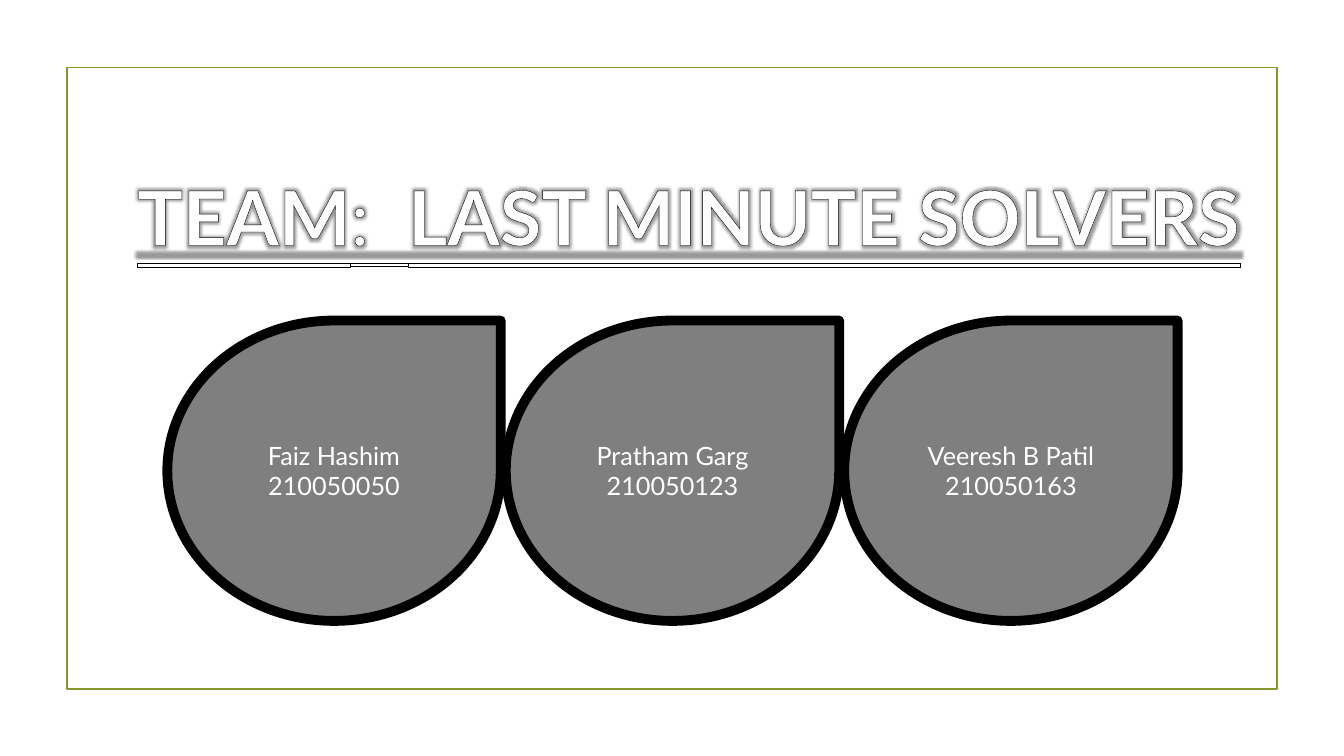
import pptx
import pptx.dml.color
import pptx.enum.shapes
import pptx.enum.text
import pptx.oxml
import pptx.util

WIDE, HIGH = pptx.util.Inches(13.33), pptx.util.Inches(7.5)
HUES = {"green": "83992A", "black": "000000", "white": "FFFFFF"}
NS = 'xmlns:a="http://schemas.openxmlformats.org/drawingml/2006/main"'
KIND = pptx.enum.shapes.MSO_SHAPE
BODY = {"word_wrap": True, "vertical_anchor": pptx.enum.text.MSO_ANCHOR.MIDDLE}
NAME = {"name": "Lato", "size": pptx.util.Pt(18)}
HEAD = {"name": "Lato", "size": pptx.util.Pt(54), "underline": True}
TEAM = [("Faiz Hashim", "210050050"), ("Pratham Garg", "210050123"),
        ("Veeresh B Patil", "210050163")]


def area(left, top, wide, high):
    """Turn percentages of the slide into a box of lengths."""
    return [round(part * size / 100) for part, size in
            zip((left, top, wide, high), (WIDE, HIGH, WIDE, HIGH))]


def hue(name):
    return pptx.dml.color.RGBColor.from_string(HUES[name])


def dress(item, style):
    for key, value in style.items():
        setattr(item, key, value)


def trim(line, tint, width):
    line.color.rgb = hue(tint)
    line.width = pptx.util.Pt(width)


def write(para, text, style):
    para.alignment = pptx.enum.text.PP_ALIGN.CENTER
    run = para.add_run()
    run.text = text
    dress(run.font, style)
    run.font.color.rgb = hue("white")
    return run


def edge(run):
    """Give a run a thin outline and a soft dark glow."""
    props = run._r.get_or_add_rPr()
    black = HUES["black"]
    props.insert(0, pptx.oxml.parse_xml(
        f'<a:ln {NS} w="12700"><a:solidFill><a:srgbClr val="{black}"/>'
        '</a:solidFill></a:ln>'))
    props.insert(2, pptx.oxml.parse_xml(
        f'<a:effectLst {NS}><a:glow rad="63500"><a:srgbClr val="{black}">'
        '<a:alpha val="40000"/></a:srgbClr></a:glow></a:effectLst>'))


def frame(slide, box):
    # Border
    rect = slide.shapes.add_shape(KIND.RECTANGLE, *box)
    rect.shadow.inherit = False
    rect.fill.background()
    trim(rect.line, "green", 1.25)


def title(slide, box):
    left, top, wide, high = box
    # Rule under the heading
    level = top + round(high * 0.82)
    rule = slide.shapes.add_connector(
        pptx.enum.shapes.MSO_CONNECTOR.STRAIGHT,
        left + round(wide * 0.06), level, left + round(wide * 0.92), level)
    trim(rule.line, "green", 1.25)
    rule._element.spPr.append(pptx.oxml.parse_xml(f"<a:effectLst {NS}/>"))
    # Heading
    frame = slide.shapes.add_textbox(*box).text_frame
    dress(frame, BODY)
    for text, bold in (("TEAM", True), (":  ", False),
                       ("LAST MINUTE SOLVERS", True)):
        edge(write(frame.paragraphs[0], text, {**HEAD, "bold": bold}))


def team(slide, box):
    left, top, wide, high = box
    for spot, lines in enumerate(TEAM):
        # Drop
        drop = slide.shapes.add_shape(
            KIND.TEAR, left + round(wide * 0.335 * spot), top,
            round(wide * 0.33), high)
        drop.shadow.inherit = False
        drop.fill.solid()
        drop.fill.fore_color.rgb = hue("black")
        tint = drop._element.spPr.find(".//{*}srgbClr")
        tint.append(pptx.oxml.parse_xml(f'<a:alpha {NS} val="50000"/>'))
        trim(drop.line, "black", 7)
        # Name and number
        frame = drop.text_frame
        dress(frame, BODY)
        frame.add_paragraph()
        for para, text in zip(frame.paragraphs, lines):
            write(para, text, NAME)


def main():
    deck = pptx.Presentation()
    dress(deck, {"slide_width": WIDE, "slide_height": HIGH})
    slide = deck.slides.add_slide(deck.slide_layouts[6])
    frame(slide, area(4.97, 8.93, 90.02, 82.27))
    title(slide, area(6.53, 17.87, 89.42, 21.2))
    team(slide, area(12.45, 42.4, 75.17, 39.73))
    deck.save("out.pptx")


if __name__ == "__main__":
    main()
